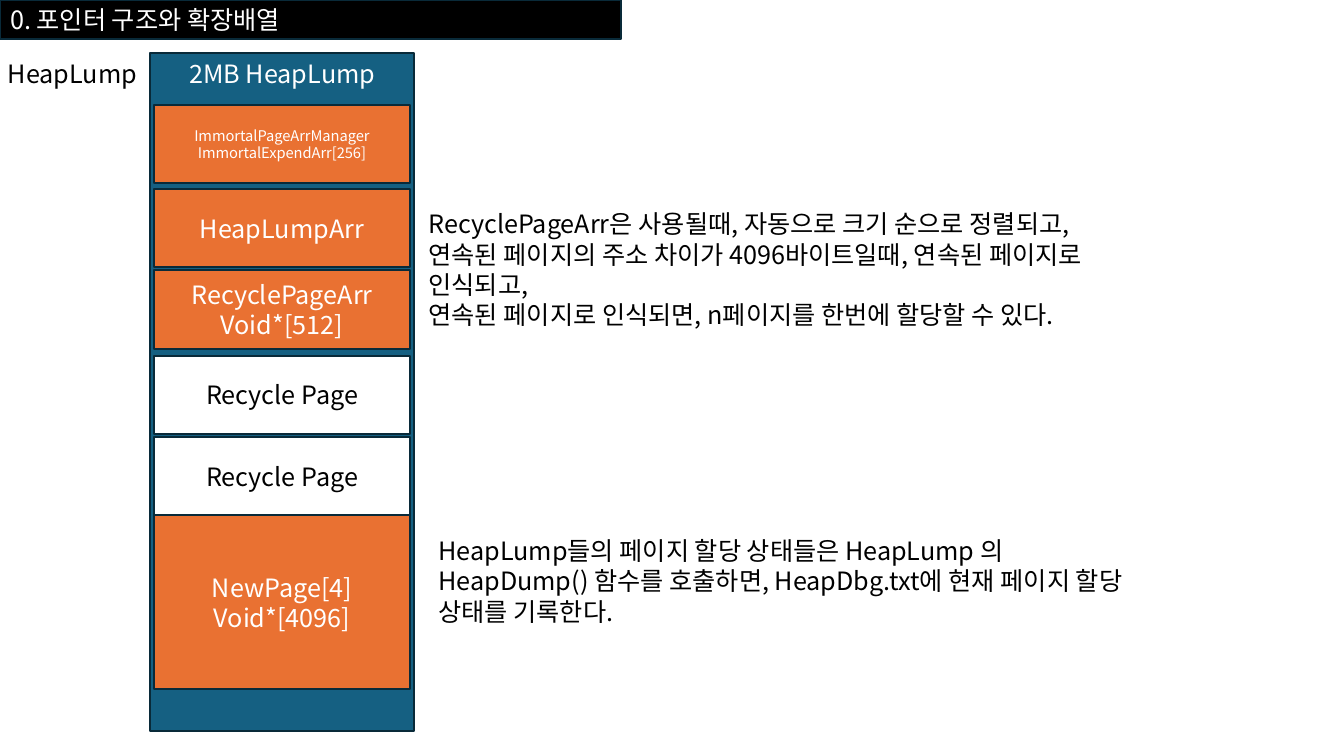
from pptx import Presentation
from pptx.dml.color import RGBColor as RGB
from pptx.enum.shapes import MSO_SHAPE as SHAPE
from pptx.enum.text import MSO_ANCHOR as ANCHOR, MSO_AUTO_SIZE as AUTO, PP_ALIGN as ALIGN
from pptx.oxml.ns import qn
from pptx.util import Pt
from lxml.etree import SubElement

COLORS = {
    "black": "000000",
    "white": "FFFFFF",
    "edge": "092A39",
    "lump": "156082",
    "page": "E97132",
}
FONT = "Noto Sans CJK KR"


def write(tf, text, size=18, color="black", align=ALIGN.LEFT, anchor=ANCHOR.TOP, auto=AUTO.NONE):
    tf.word_wrap = True
    tf.auto_size = auto
    tf.vertical_anchor = anchor
    tf.margin_left = tf.margin_right = Pt(7.2)
    tf.margin_top = tf.margin_bottom = Pt(3.6)
    for i, line in enumerate(text.split("\n")):
        p = tf.add_paragraph() if i else tf.paragraphs[0]
        p.alignment = align
        r = p.add_run()
        r.text = line
        r.font.size = Pt(size)
        r.font.name = FONT
        r.font.color.rgb = RGB.from_string(COLORS[color])
        SubElement(r.font._element, qn("a:ea")).set("typeface", FONT)


class HeapSlide:
    def __init__(self, prs):
        self.s = prs.slides.add_slide(prs.slide_layouts[5])

    def paint(self, sp, fill):
        sp.fill.solid()
        sp.fill.fore_color.rgb = RGB.from_string(COLORS[fill])
        sp.line.color.rgb = RGB.from_string(COLORS["edge"])
        sp.line.width = Pt(1.5)

    def title(self, text, left, top, width, height):
        sp = self.s.shapes.title
        sp.left, sp.top, sp.width, sp.height = map(Pt, (left, top, width, height))
        self.paint(sp, "black")
        write(sp.text_frame, text, color="white", anchor=ANCHOR.MIDDLE)

    def box(self, text, left, top, width, height, fill, anchor=ANCHOR.MIDDLE, size=18):
        sp = self.s.shapes.add_shape(SHAPE.RECTANGLE, *map(Pt, (left, top, width, height)))
        sp.shadow.inherit = False
        self.paint(sp, fill)
        color = "black" if fill == "white" else "white"
        write(sp.text_frame, text, size=size, color=color, align=ALIGN.CENTER, anchor=anchor)

    def note(self, text, left, top, width, height):
        sp = self.s.shapes.add_textbox(*map(Pt, (left, top, width, height)))
        write(sp.text_frame, text, auto=AUTO.SHAPE_TO_FIT_TEXT)


def main():
    prs = Presentation()
    prs.slide_width, prs.slide_height = Pt(960), Pt(540)
    slide = HeapSlide(prs)

    slide.title("0. 포인터 구조와 확장배열", 0, 0, 443.5, 28)
    slide.box("2MB HeapLump", 107.4, 38, 188.5, 484.5, "lump", anchor=ANCHOR.TOP)

    pages = [
        ("ImmortalPageArrManager\nImmortalExpendArr[256]", 75, 56, "page", 10.5),
        ("HeapLumpArr", 135, 56, "page", 18),
        ("RecyclePageArr\nVoid*[512]", 193, 56, "page", 18),
        ("Recycle Page", 254, 56, "white", 18),
        ("Recycle Page", 312, 56, "white", 18),
        ("NewPage[4]\nVoid*[4096]", 368, 124.5, "page", 18),
    ]
    for text, top, height, fill, size in pages:
        slide.box(text, 110.3, top, 182.3, height, fill, size=size)

    slide.note("HeapLump", -1.5, 38, 111.5, 29)
    slide.note(
        "RecyclePageArr은 사용될때, 자동으로 크기 순으로 정렬되고,\n"
        "연속된 페이지의 주소 차이가 4096바이트일때, 연속된 페이지로 인식되고,\n"
        "연속된 페이지로 인식되면, n페이지를 한번에 할당할 수 있다.",
        299, 145.5, 508, 94.5)
    slide.note(
        "HeapLump들의 페이지 할당 상태들은 HeapLump 의 HeapDump() 함수를 호출하면, "
        "HeapDbg.txt에 현재 페이지 할당 상태를 기록한다.",
        306, 379, 508, 72.7)

    prs.save("out.pptx")


if __name__ == "__main__":
    main()
